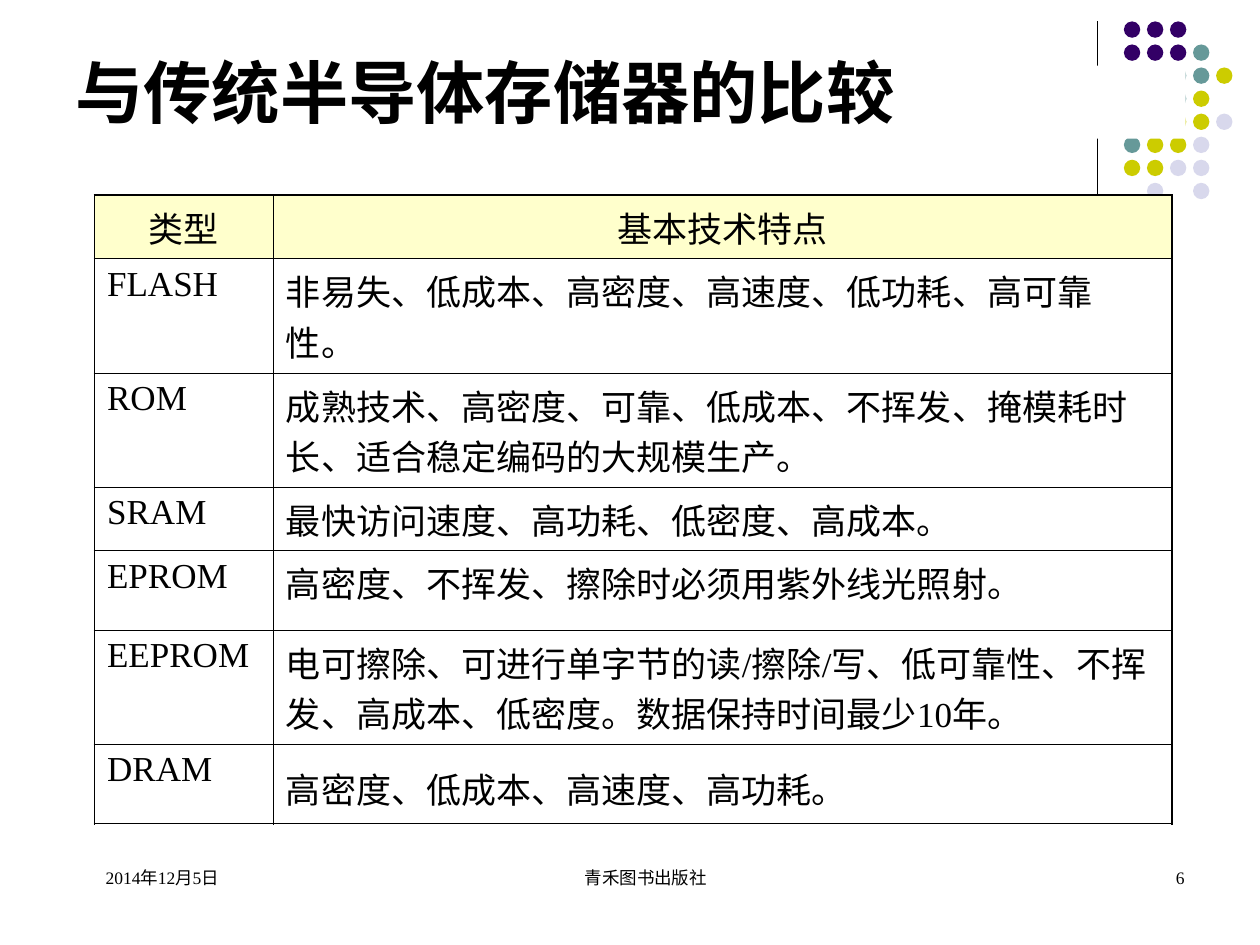
"""Build a slide comparing traditional semiconductor memories in a table."""
import pptx
import pptx.dml.color
import pptx.enum.shapes
import pptx.enum.text
import pptx.oxml
import pptx.oxml.ns
import pptx.util

WIDTH, HEIGHT = 10, 7.5
FONT = "Times New Roman"
TITLE = "与传统半导体存储器的比较"
HEADER = ("类型", "基本技术特点")
MEMORIES = [
    ("FLASH", "非易失、低成本、高密度、高速度、低功耗、高可靠性。"),
    ("ROM", "成熟技术、高密度、可靠、低成本、不挥发、掩模耗时长、适合稳定编码的大规模生产。"),
    ("SRAM", "最快访问速度、高功耗、低密度、高成本。"),
    ("EPROM", "高密度、不挥发、擦除时必须用紫外线光照射。"),
    ("EEPROM", "电可擦除、可进行单字节的读/擦除/写、低可靠性、不挥发、高成本、低密度。数据保持时间最少10年。"),
    ("DRAM", "高密度、低成本、高速度、高功耗。"),
]
COLUMN_WIDTHS = (1.42, 7.13)
ROW_HEIGHTS = (0.49, 0.76, 0.77, 0.44, 0.63, 0.77, 0.63)
FOOTERS = [
    ("青禾图书出版社", 3.42, 3.17, "CENTER"),
    ("6", 7.17, 2.33, "RIGHT"),
    ("2014年12月5日", 0.5, 2.33, "LEFT"),
]
DOT_COLOURS = {"P": "330066", "T": "669999", "Y": "CCCC00", "L": "D8D8EC"}
DOT_ROWS = ("PPP", "PPPT", "  TTY", "  TY", "  YYL", "TYYL", "YYLL", " L L")
DOT_LEFT, DOT_TOP, DOT_PITCH, DOT_SIZE = 8.92, 0.17, 0.183, 0.13
OUTER, INNER = 1.08, 0.45

inch = pptx.util.Inches


def colour(value):
    return pptx.dml.color.RGBColor.from_string(value)


def write(para, text, align="LEFT", **extra):
    para.alignment = getattr(pptx.enum.text.PP_ALIGN, align)
    span = para.add_run()
    span.text = text
    span.font.color.rgb = colour("000000")
    for name, value in {"name": FONT, **extra}.items():
        setattr(span.font, name, value)


def add_shape(page, kind, fill, *place):
    shape = page.shapes.add_shape(
        getattr(pptx.enum.shapes.MSO_SHAPE, kind), *map(inch, place))
    shape.shadow.inherit = False
    shape.fill.solid()
    shape.fill.fore_color.rgb = colour(fill)
    shape.line.fill.background()
    return shape


def add_decoration(page):
    line = page.shapes.add_connector(
        pptx.enum.shapes.MSO_CONNECTOR.STRAIGHT,
        inch(8.71), inch(0.17), inch(8.71), inch(1.83))
    line.line.color.rgb = colour("000000")
    line.line.width = pptx.util.Pt(0.75)
    properties = line._element.spPr
    properties.append(pptx.oxml.parse_xml(
        f"<a:effectLst {pptx.oxml.ns.nsdecls('a')}/>"))
    for row, letters in enumerate(DOT_ROWS):
        for column, letter in enumerate(letters):
            if letter in DOT_COLOURS:
                add_shape(page, "OVAL", DOT_COLOURS[letter],
                          DOT_LEFT + column * DOT_PITCH, DOT_TOP + row * DOT_PITCH,
                          DOT_SIZE, DOT_SIZE)


def add_title(page):
    frame = add_shape(page, "RECTANGLE", "FFFFFF", 0.5, 0.52, 8.91, 0.58).text_frame
    frame.word_wrap = True
    frame.vertical_anchor = pptx.enum.text.MSO_ANCHOR.BOTTOM
    write(frame.paragraphs[0], TITLE, size=pptx.util.Pt(39), bold=True)


def set_borders(cell, widths):
    properties = cell._tc.get_or_add_tcPr()
    for side, width in widths.items():
        properties.append(pptx.oxml.parse_xml(
            f'<a:ln{side} {pptx.oxml.ns.nsdecls("a")} w="{pptx.util.Pt(width)}">'
            '<a:solidFill><a:srgbClr val="000000"/></a:solidFill>'
            f'</a:ln{side}>'))


def add_table(page):
    rows = [HEADER, *MEMORIES]
    last = len(rows) - 1
    table = page.shapes.add_table(
        len(rows), 2, inch(0.75), inch(1.55),
        inch(sum(COLUMN_WIDTHS)), inch(sum(ROW_HEIGHTS))).table
    table.first_row = table.horz_banding = False
    for column, width in zip(table.columns, COLUMN_WIDTHS):
        column.width = inch(width)
    for r, texts in enumerate(rows):
        table.rows[r].height = inch(ROW_HEIGHTS[r])
        for c, text in enumerate(texts):
            cell = table.cell(r, c)
            edges = {"L": c == 0, "R": c == 1, "T": r == 0, "B": r == last}
            set_borders(cell, {s: OUTER if e else INNER for s, e in edges.items()})
            if r == 0:
                cell.fill.solid()
                cell.fill.fore_color.rgb = colour("FFFFCC")
            else:
                cell.fill.background()
            para = cell.text_frame.paragraphs[0]
            para._p.get_or_add_pPr().set("hangingPunct", "0")
            tall = (r, c) == (last, 1)
            para.space_before = pptx.util.Pt(6.5 if tall else 5)
            write(para, text, "LEFT" if r else "CENTER", size=pptx.util.Pt(20))
            if tall:
                write(para, " ", size=pptx.util.Pt(26))


def add_footers(page):
    for text, left, width, align in FOOTERS:
        box = page.shapes.add_textbox(
            inch(left), inch(6.83), inch(width), inch(0.5))
        box.text_frame.word_wrap = True
        para = box.text_frame.paragraphs[0]
        write(para, text, align, size=pptx.util.Pt(10))
        properties = para._p.get_or_add_pPr()
        properties.set("marL", str(inch(0.24)))
        properties.set("indent", "0")


def main():
    deck = pptx.Presentation()
    deck.slide_width, deck.slide_height = inch(WIDTH), inch(HEIGHT)
    page = deck.slides.add_slide(deck.slide_layouts[6])
    for build in (add_decoration, add_title, add_table, add_footers):
        build(page)
    deck.save("out.pptx")


if __name__ == "__main__":
    main()
